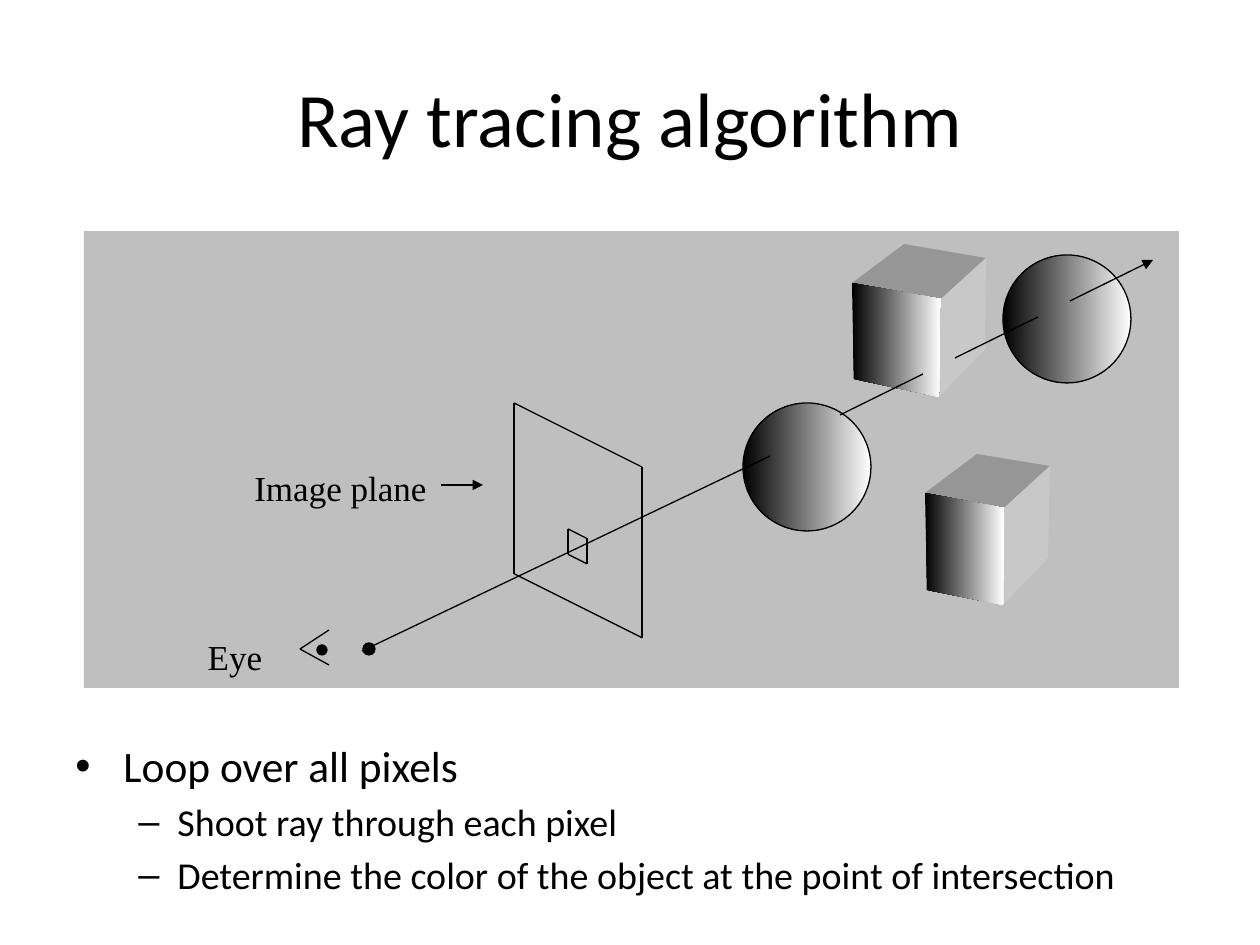
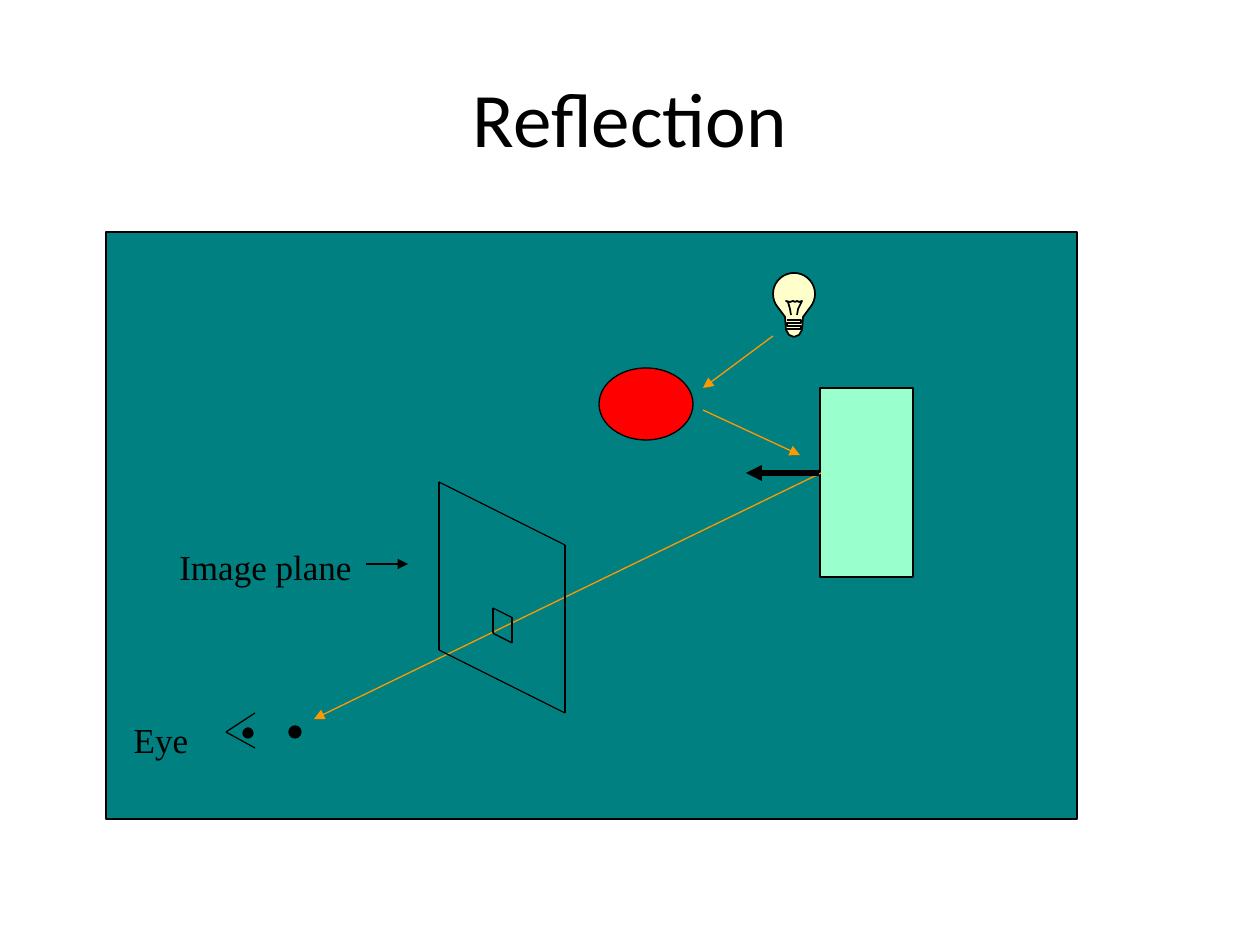
"""Build two slides on ray tracing: the algorithm and reflection."""
import itertools
import math

import lxml.etree
import pptx
import pptx.dml.color
import pptx.enum.shapes
import pptx.enum.text
import pptx.oxml.ns
import pptx.util

INK = {
    "black": "000000", "white": "FFFFFF", "grey": "BFBFBF",
    "top": "969696", "side": "C8C8C8", "teal": "008080",
    "bulb": "FFFFCC", "red": "FF0000", "mint": "99FFCC", "ray": "FF9900",
}
SANS, SERIF = "Calibri", "Times New Roman"
KIND = pptx.enum.shapes.MSO_SHAPE
ALIGN = pptx.enum.text.PP_ALIGN
TITLE = (63, 38, 1134, 158)


def emu(px):
    """Turn px into EMU."""
    return pptx.util.Emu(round(px * 914400 / 126))


def rgb(name):
    """Look up a colour."""
    return pptx.dml.color.RGBColor.from_string(INK[name])


def child(node, tag, **attrs):
    """Append a drawing element to a node."""
    return lxml.etree.SubElement(node, pptx.oxml.ns.qn(tag), **attrs)


def paint(shape, fill=None, line=None, width=0.75):
    """Set the fill and line; the fill "shade" runs from black to white."""
    shape.shadow.inherit = False
    if fill == "shade":
        shape.fill.gradient()
        shape.fill.gradient_angle = 0
        for stop, name in zip(shape.fill.gradient_stops, ("black", "white")):
            stop.color.rgb = rgb(name)
    elif fill:
        shape.fill.solid()
        shape.fill.fore_color.rgb = rgb(fill)
    else:
        shape.fill.background()
    if line:
        shape.line.color.rgb = rgb(line)
        shape.line.width = pptx.util.Pt(width)
    else:
        shape.line.fill.background()


def block(shapes, kind, box, fill, line=None):
    """Add a preset shape."""
    paint(shapes.add_shape(kind, *map(emu, box)), fill, line)


def trace(shapes, x, y, points, fill=None, line=None, width=0.75, close=True):
    """Add an outline whose points are relative to x, y."""
    dots = [(emu(x + dx), emu(y + dy)) for dx, dy in points]
    form = shapes.build_freeform(*dots[0], scale=1.0)
    form.add_line_segments(dots[1:], close=close)
    paint(form.convert_to_shape(), fill, line, width)


def link(shapes, x, y, ends, name="black", width=0.75, arrow=False):
    """Add a straight line with ends relative to x, y."""
    x1, y1, x2, y2 = ends
    line = shapes.add_connector(
        pptx.enum.shapes.MSO_CONNECTOR.STRAIGHT,
        emu(x + x1), emu(y + y1), emu(x + x2), emu(y + y2))
    line.line.color.rgb = rgb(name)
    line.line.width = pptx.util.Pt(width)
    if arrow:
        child(line.line._get_or_add_ln(), "a:tailEnd", type="triangle")
    child(line._element.spPr, "a:effectLst")


def style(para, size, face, align=ALIGN.LEFT):
    """Set the font and alignment of a paragraph."""
    para.font.size = pptx.util.Pt(size)
    para.font.name = face
    para.font.color.rgb = rgb("black")
    para.alignment = align


def label(shapes, box, text, size=20, face=SERIF, wrap=False):
    """Add centred text in the middle of a box."""
    frame = shapes.add_textbox(*map(emu, box)).text_frame
    frame.word_wrap = wrap
    frame.vertical_anchor = pptx.enum.text.MSO_ANCHOR.MIDDLE
    frame.text = text
    style(frame.paragraphs[0], size, face, ALIGN.CENTER)


def bullets(shapes, box, items):
    """Add a list of (level, text) items."""
    looks = [(24.8, 48, 48, "•"), (21.7, 102, 39, "–")]
    frame = shapes.add_textbox(*map(emu, box)).text_frame
    frame.word_wrap = True
    for n, (level, text) in enumerate(items):
        para = frame.add_paragraph() if n else frame.paragraphs[0]
        size, left, hang, mark = looks[level]
        para.text = text
        para.level = level
        style(para, size, SANS)
        para.space_before = pptx.util.Pt(round(size * 0.2, 1))
        props = para._p.get_or_add_pPr()
        props.set("marL", str(emu(left)))
        props.set("indent", str(-emu(hang)))
        child(props, "a:buFont", typeface="Arial")
        child(props, "a:buChar", char=mark)


def skew(shapes, x, y, wide):
    """Add a slanted window of four lines."""
    high = wide * 4 / 3
    spots = [(0, 0), (wide, wide / 2), (wide, wide / 2 + high), (0, high)]
    group = shapes.add_group_shape().shapes
    for start, end in itertools.pairwise(spots + spots[:1]):
        link(group, x, y, start + end)


def plane(shapes, x, y, wide):
    """Add the image plane with its pixel, label and arrow."""
    skew(shapes, x, y, wide)
    skew(shapes, x + 54, y + 126, 19)
    label(shapes, (x - 274, y + 57, 201, 54), "Image plane")
    link(shapes, x, y, (-73, 82, -31, 82), arrow=True)


def eye(shapes, x, y):
    """Add the eye, its label and the view point; x, y is the lid corner."""
    group = shapes.add_group_shape().shapes
    for end in (-19, 16):
        link(group, x, y, (0, 0, 29, end))
    block(group, KIND.OVAL, (x + 17, y - 4, 10, 10), "black", "black")
    label(shapes, (x - 109, y - 20, 88, 54), "Eye")
    block(shapes, KIND.OVAL, (x + 63, y - 6, 12, 12), "black", "black")


def cube(shapes, x, y, front, back):
    """Add a solid from its four front and three back corners."""
    a, b, c, d = front
    e, f, g = back
    trace(shapes, x, y, [a, e, f, b], "top")
    trace(shapes, x, y, [b, f, g, c], "side")
    trace(shapes, x, y, [a, b, c, d], "shade")


def bulb(shapes, x, y):
    """Add a light bulb around the centre of its glass."""
    turns = [math.radians(a) for a in range(-90, 41, 10)]
    right = [(21 * math.cos(t), 21 * math.sin(t)) for t in turns]
    right += [(9, 23), (8, 36), (5, 41), (0, 43)]
    left = [(-dx, dy) for dx, dy in right[-2:0:-1]]
    group = shapes.add_group_shape().shapes
    trace(group, x, y, right + left, "bulb", "black", 1)
    wire = [(-3, 21), (-4, 15), (-6, 8), (-8, 7), (-4, 8), (-1, 7),
            (1, 8), (3, 7), (5, 8), (8, 7), (4, 15), (3, 21)]
    screw = [(-7, 26), (7, 26), (7, 29), (-7, 29),
             (-7, 32), (7, 32), (7, 35), (-7, 35)]
    for points in (wire, screw):
        trace(group, x, y, points, None, "black", 1, close=False)


def tracing(shapes, box):
    """Draw a ray that passes from the eye through a row of solids."""
    x, y = box[:2]
    block(shapes, KIND.RECTANGLE, box, "grey")
    plane(shapes, x + 430, y + 172, 128)
    eye(shapes, x + 216, y + 418)
    for dx, dy in ((659, 172), (919, 24)):
        block(shapes, KIND.OVAL, (x + dx, y + dy, 128, 128), "shade", "black")
    cube(shapes, x + 768, y + 52,
         [(0, 0), (89, 16), (87, 114), (2, 96)],
         [(52, -39), (134, -25), (133, 66)])
    cube(shapes, x + 841, y + 262,
         [(0, 0), (79, 15), (78, 112), (2, 97)],
         [(52, -39), (125, -27), (123, 65)])
    link(shapes, x, y, (278, 420, 686, 225))
    for n in range(3):
        link(shapes, x + 756 + 115 * n, y + 184 - 57 * n,
             (0, 0, 83, -41), arrow=n == 2)


def mirror(shapes, box):
    """Draw light that bounces off two solids into the eye."""
    x, y = box[:2]
    block(shapes, KIND.RECTANGLE, box, "teal", "black")
    eye(shapes, x + 120, y + 500)
    bulb(shapes, x + 688, y + 62)
    block(shapes, KIND.OVAL, (x + 493, y + 136, 94, 72), "red", "black")
    block(shapes, KIND.RECTANGLE, (x + 714, y + 156, 93, 189), "mint", "black")
    link(shapes, x, y, (715, 241, 208, 487), "ray", arrow=True)
    plane(shapes, x + 333, y + 250, 126)
    link(shapes, x, y, (713, 241, 640, 241), width=3, arrow=True)
    link(shapes, x, y, (597, 178, 694, 223), "ray", arrow=True)
    link(shapes, x, y, (667, 104, 597, 156), "ray", arrow=True)


def page(deck, title):
    """Add a blank slide with a title and return its shapes."""
    shapes = deck.slides.add_slide(deck.slide_layouts[6]).shapes
    label(shapes, TITLE, title, 44, SANS, wrap=True)
    return shapes


def main():
    """Build and save the deck."""
    deck = pptx.Presentation()
    deck.slide_width, deck.slide_height = emu(1260), emu(945)
    shapes = page(deck, "Ray tracing algorithm")
    bullets(shapes, (63, 733, 1116, 171), [
        (0, "Loop over all pixels"),
        (1, "Shoot ray through each pixel"),
        (1, "Determine the color of the object at the point of intersection"),
    ])
    tracing(shapes, (84, 231, 1095, 457))
    mirror(page(deck, "Reflection"), (106, 232, 971, 587))
    deck.save("out.pptx")


if __name__ == "__main__":
    main()
